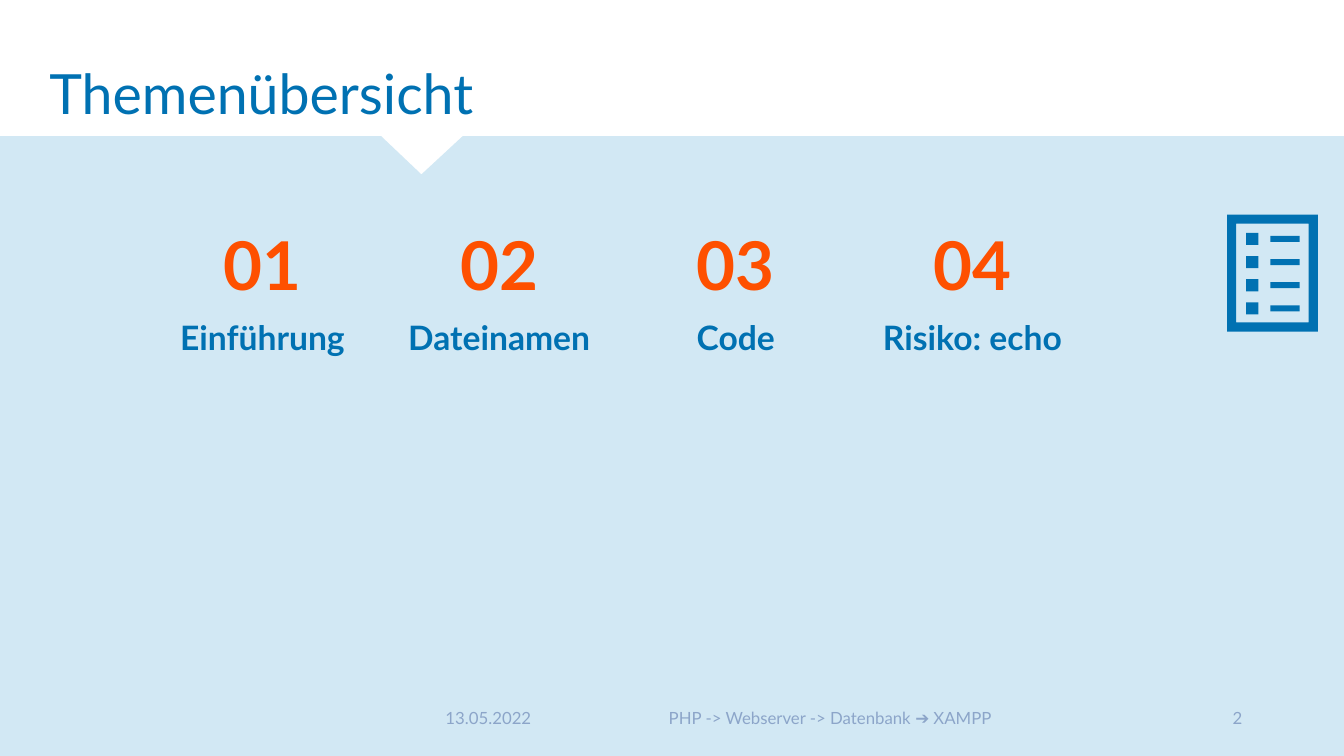
from pptx import Presentation
from pptx.dml.color import RGBColor
from pptx.enum.shapes import MSO_SHAPE
from pptx.enum.text import MSO_ANCHOR, MSO_AUTO_SIZE, PP_ALIGN
from pptx.util import Inches, Pt

BLUE = RGBColor(0x00, 0x71, 0xB2)
PALE_BLUE = RGBColor(0xD2, 0xE8, 0xF4)
ORANGE = RGBColor(0xFE, 0x50, 0x00)
GREY_BLUE = RGBColor(0x8C, 0xA5, 0xC9)
FONT = "Lato"

TOPICS = ["Einführung", "Dateinamen", "Code", "Risiko: echo"]
TOPIC_LEFT, TOPIC_WIDTH = 1.43, 2.347
FOOTER = [
    ("13.05.2022", 4.32, 1.55, PP_ALIGN.LEFT),
    ("PHP -> Webserver -> Datenbank ➔ XAMPP", 5.87, 4.73, PP_ALIGN.CENTER),
    ("2", 10.6, 1.82, PP_ALIGN.RIGHT),
]


def paint(shape, color):
    shape.shadow.inherit = False
    shape.fill.solid()
    shape.fill.fore_color.rgb = color
    shape.line.fill.background()


def write(shape, text, size, color, align, bold=False, spacing=1.0, anchor=MSO_ANCHOR.TOP):
    frame = shape.text_frame
    frame.text = text
    frame.word_wrap = True
    frame.auto_size = MSO_AUTO_SIZE.NONE
    frame.vertical_anchor = anchor
    paragraph = frame.paragraphs[0]
    paragraph.alignment = align
    paragraph.line_spacing = spacing
    font = paragraph.runs[0].font
    font.name, font.size, font.bold = FONT, Pt(size), bold
    font.color.rgb = color


def add_label(slide, left, top, width, height, text, *style, **options):
    box = slide.shapes.add_textbox(Inches(left), Inches(top), Inches(width), Inches(height))
    write(box, text, *style, **options)


def add_backdrop(slide):
    """Draw the pale area with its notch behind everything else."""
    builder = slide.shapes.build_freeform(0, Inches(1.35))
    corners = [(3.78, 1.35), (4.18, 1.73), (4.59, 1.35), (13.33, 1.35), (13.33, 7.5), (0, 7.5)]
    builder.add_line_segments([(Inches(x), Inches(y)) for x, y in corners], close=True)
    backdrop = builder.convert_to_shape()
    paint(backdrop, PALE_BLUE)
    slide.shapes._spTree.insert(2, backdrop._element)


def add_title(slide, text):
    title = slide.shapes.title
    title.left, title.top = Inches(0.39), Inches(0.61)
    title.width, title.height = Inches(5.48), Inches(0.74)
    write(title, text, 39.6, BLUE, PP_ALIGN.LEFT, spacing=0.9)


def add_topic(slide, index, name):
    left = TOPIC_LEFT + index * TOPIC_WIDTH
    add_label(slide, left, 2.32, TOPIC_WIDTH, 0.77, f"{index + 1:02}",
              48, ORANGE, PP_ALIGN.CENTER, bold=True, spacing=0.8)
    add_label(slide, left, 3.14, TOPIC_WIDTH, 0.46, name,
              24, BLUE, PP_ALIGN.CENTER, bold=True, spacing=0.9)


def add_checklist_icon(slide):
    icon = slide.shapes.add_group_shape()

    def add_part(preset, left, top, width, height):
        part = icon.shapes.add_shape(
            preset, Inches(left), Inches(top), Inches(width), Inches(height))
        paint(part, BLUE)
        return part

    border = add_part(MSO_SHAPE.FRAME, 12.17, 2.13, 0.9, 1.16)
    border.adjustments[0] = 0.1
    for row in range(4):
        top = 2.31 + row * 0.23
        add_part(MSO_SHAPE.RECTANGLE, 12.36, top, 0.12, 0.12)
        add_part(MSO_SHAPE.RECTANGLE, 12.6, top + 0.03, 0.29, 0.06)


def main():
    deck = Presentation()
    deck.slide_width, deck.slide_height = Inches(13.33), Inches(7.5)
    slide = deck.slides.add_slide(deck.slide_layouts[5])
    add_backdrop(slide)
    add_title(slide, "Themenübersicht")
    for index, name in enumerate(TOPICS):
        add_topic(slide, index, name)
    add_checklist_icon(slide)
    for text, left, width, align in FOOTER:
        add_label(slide, left, 6.9, width, 0.45, text,
                  12, GREY_BLUE, align, anchor=MSO_ANCHOR.MIDDLE)
    deck.save("out.pptx")


if __name__ == "__main__":
    main()
